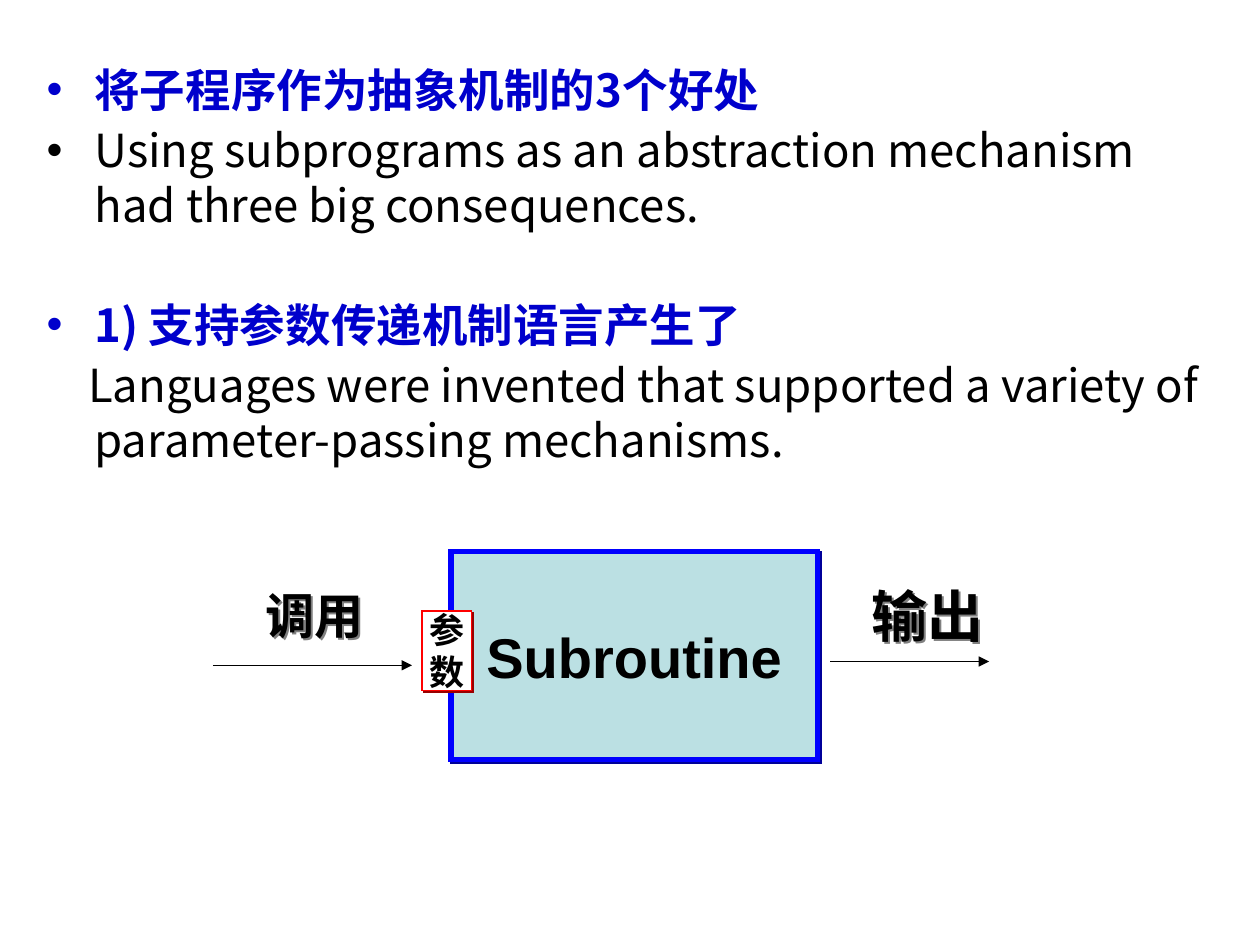
from lxml import etree
from pptx import Presentation
from pptx.dml.color import RGBColor
from pptx.enum.shapes import MSO_CONNECTOR, MSO_SHAPE
from pptx.enum.text import MSO_ANCHOR, MSO_AUTO_SIZE, PP_ALIGN
from pptx.oxml.ns import qn
from pptx.util import Inches, Pt

BLACK = RGBColor(0x00, 0x00, 0x00)
WHITE = RGBColor(0xFF, 0xFF, 0xFF)
HEADING_BLUE = RGBColor(0x00, 0x00, 0xCC)
BOX_BLUE = RGBColor(0x00, 0x00, 0xFF)
BOX_FILL = RGBColor(0xBB, 0xE0, 0xE3)
BOX_SHADOW = RGBColor(0x00, 0x00, 0x99)
RED = RGBColor(0xFF, 0x00, 0x00)
RED_SHADOW = RGBColor(0x99, 0x00, 0x00)
TEXT_SHADOW = RGBColor(0x80, 0x80, 0x80)
BODY_FONT = "Noto Sans CJK SC"
RECT = MSO_SHAPE.RECTANGLE
STRAIGHT = MSO_CONNECTOR.STRAIGHT
TOP, MIDDLE = MSO_ANCHOR.TOP, MSO_ANCHOR.MIDDLE
NO_FIT = MSO_AUTO_SIZE.NONE
CENTER, LEFT = PP_ALIGN.CENTER, PP_ALIGN.LEFT


def write(p, text, size, font="Arial", color=BLACK, bold=True, align=LEFT):
    p.alignment = align
    r = p.add_run()
    r.text = text
    r.font.size = Pt(size)
    r.font.bold = bold
    r.font.color.rgb = color
    r.font.name = font
    latin = r.font._element.find(qn("a:latin"))
    latin.addnext(etree.Element(qn("a:ea"), typeface=font))


def add_shadow(sp, color):
    """Give a shape a hard shadow to the lower right."""
    effects = etree.SubElement(sp._element.spPr, qn("a:effectLst"))
    shadow = etree.SubElement(effects, qn("a:outerShdw"), dist=str(Pt(1.4)),
                              dir="2700000", algn="ctr", rotWithShape="0")
    etree.SubElement(shadow, qn("a:srgbClr"), val=str(color))


prs = Presentation()
prs.slide_width, prs.slide_height = Inches(10), Inches(7.5)
s = prs.slides.add_slide(prs.slide_layouts[1])
title = s.shapes.title._element
title.getparent().remove(title)

# Body text: text, blue heading, bullet, first-line indent, space before
body = s.placeholders[1]
body.left, body.top = Inches(0.27), Inches(0.44)
body.width, body.height = Inches(9.45), Inches(4.72)
tf = body.text_frame
tf.word_wrap = True
tf.auto_size = NO_FIT
tf.vertical_anchor = TOP
paragraphs = [
    ("将子程序作为抽象机制的3个好处", True, True, -0.38, 3.3),
    ("Using subprograms as an abstraction mechanism had three big consequences.",
     False, True, -0.38, 3.3),
    ("1) 支持参数传递机制语言产生了", True, True, -0.38, 37.5),
    ("Languages were invented that supported a variety of "
     "parameter-passing mechanisms.", False, False, -0.05, 3.3),
]
for i, (text, heading, bullet, indent, before) in enumerate(paragraphs):
    p = tf.add_paragraph() if i else tf.paragraphs[0]
    color = HEADING_BLUE if heading else BLACK
    write(p, text, 26, font=BODY_FONT, color=color, bold=heading)
    p.line_spacing = 1.0
    p.space_before = Pt(before)
    pPr = p._p.get_or_add_pPr()
    pPr.set("marL", str(Inches(0.38)))
    pPr.set("indent", str(Inches(indent)))
    if bullet:
        bu_color = etree.SubElement(pPr, qn("a:buClr"))
        etree.SubElement(bu_color, qn("a:srgbClr"), val=str(color))
        etree.SubElement(pPr, qn("a:buFont"), typeface="Arial")
        etree.SubElement(pPr, qn("a:buChar"), char="•")
    else:
        etree.SubElement(pPr, qn("a:buNone"))

# Subroutine diagram
diagram = s.shapes.add_group_shape().shapes
boxes = [
    (["Subroutine"], 32, 3.58, 4.38, 2.91, 1.65, BOX_FILL, BOX_BLUE, 3, BOX_SHADOW),
    (["参", "数"], 20, 3.35, 4.85, 0.39, 0.63, WHITE, RED, 0.75, RED_SHADOW),
]
for lines, size, x, y, w, h, fill, line, weight, shadow in boxes:
    sp = diagram.add_shape(RECT, Inches(x), Inches(y), Inches(w), Inches(h))
    sp.fill.solid()
    sp.fill.fore_color.rgb = fill
    sp.line.color.rgb = line
    sp.line.width = Pt(weight)
    etree.SubElement(sp.line._get_or_add_ln(), qn("a:miter"), lim="800000")
    add_shadow(sp, shadow)
    tf = sp.text_frame
    tf.word_wrap = False
    tf.vertical_anchor = MIDDLE
    for i, text in enumerate(lines):
        p = tf.add_paragraph() if i else tf.paragraphs[0]
        write(p, text, size, align=CENTER)

for x1, x2, y in [(1.69, 3.27, 5.28), (6.59, 7.85, 5.25)]:
    arrow = diagram.add_connector(STRAIGHT, Inches(x1), Inches(y), Inches(x2), Inches(y))
    arrow.line.color.rgb = BLACK
    arrow.line.width = Pt(0.75)
    etree.SubElement(arrow.line._get_or_add_ln(), qn("a:tailEnd"), type="triangle")
    etree.SubElement(arrow._element.spPr, qn("a:effectLst"))

for text, size, x, y, w, h in [("调用", 28, 2.01, 4.6, 1.02, 0.57),
                               ("输出", 32, 6.82, 4.57, 1.09, 0.64)]:
    label = diagram.add_textbox(Inches(x), Inches(y), Inches(w), Inches(h))
    label.text_frame.word_wrap = False
    write(label.text_frame.paragraphs[0], text, size)
    add_shadow(label, TEXT_SHADOW)

prs.save("out.pptx")
